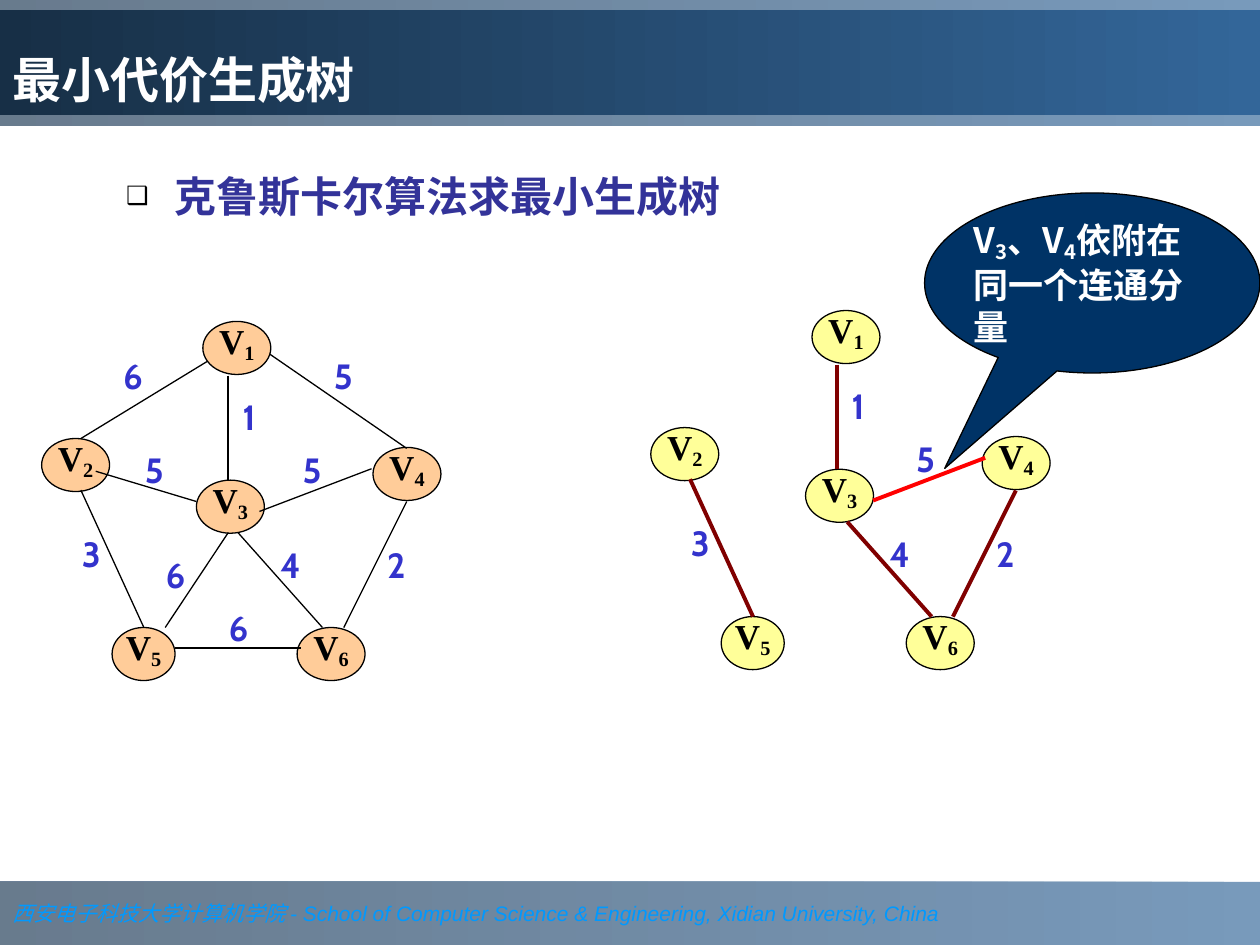
from dataclasses import dataclass

from lxml.etree import SubElement
from pptx import Presentation
from pptx.dml.color import RGBColor
from pptx.enum.shapes import MSO_CONNECTOR as Connector, MSO_SHAPE as Shape
from pptx.enum.text import MSO_ANCHOR as Anchor, MSO_AUTO_SIZE as AutoSize, PP_ALIGN as Align
from pptx.oxml.ns import qn
from pptx.util import Cm, Pt


@dataclass(frozen=True)
class Theme:
    """Colours, fonts and type sizes of the slide."""
    blue: str = "336699"
    band_dark: str = "1B3753"
    title_dark: str = "172F46"
    footer: str = "0099FF"
    heading: str = "333399"
    weight: str = "3333CC"
    graph_node: str = "FFCC99"
    tree_node: str = "FFFF99"
    tree_edge: str = "800000"
    rejected_edge: str = "FF0000"
    callout: str = "003366"
    black: str = "000000"
    white: str = "FFFFFF"
    sans: str = "Cabin"
    serif: str = "Times New Roman"
    latin: str = "Arial"
    chinese: str = "Noto Sans CJK SC"
    title_size: int = 28
    heading_size: int = 24
    label_size: int = 20
    footer_size: int = 12
    thin: float = 0.75
    thick: float = 2.25


VERTICES = {
    "1": (4.09, 6.48, 1.37), "2": (0.84, 8.84, 1.37), "3": (3.96, 9.68, 1.37),
    "4": (7.52, 9.02, 1.37), "5": (2.26, 12.65, 1.27), "6": (5.99, 12.65, 1.37),
}
EDGES = {
    "12": ("6", (4.17, 7.29), (1.63, 8.84), (2.26, 7.14)),
    "14": ("5", (5.44, 7.14), (8.2, 9.04), (6.5, 7.14)),
    "13": ("1", (4.6, 7.57), (4.6, 9.68), (4.6, 7.98)),
    "23": ("5", (3.96, 10.11), (1.93, 9.5), (2.69, 9.04)),
    "34": ("5", (5.23, 10.31), (7.49, 9.45), (5.87, 9.04)),
    "25": ("3", (1.63, 9.88), (2.9, 12.65), (1.42, 10.74)),
    "35": ("6", (4.6, 10.74), (3.33, 12.65), (3.12, 11.15)),
    "36": ("4", (4.8, 10.74), (6.5, 12.65), (5.44, 10.95)),
    "46": ("2", (8.2, 10.11), (6.93, 12.65), (7.57, 10.95)),
    "56": ("6", (3.53, 13.06), (6.07, 13.06), (4.39, 12.22)),
}
TREE_EDGES = ("13", "25", "36", "46")
TREE_SHIFT = (12.28, -0.22)
REJECTED_SHIFT = (12.37, -0.22)


class SlideBuilder:
    """Draws styled elements on one slide."""

    def __init__(self, slide, theme):
        """Keep the slide and its theme."""
        self.slide = slide
        self.theme = theme

    def run(self, paragraph, text, size, font, color, bold=True, italic=False, subscript=False):
        """Add one formatted run."""
        run = paragraph.add_run()
        run.text = text
        run.font.size = Pt(size)
        run.font.bold = bold
        run.font.italic = italic
        run.font.color.rgb = RGBColor.from_string(color)
        run.font.name = font
        properties = run._r.get_or_add_rPr()
        SubElement(properties, qn("a:ea"), typeface=self.theme.chinese)
        if subscript:
            properties.set("baseline", "-16000")

    def frame(self, shape, anchor, align, insets=(0, 0)):
        """Set up a text frame and return its first paragraph."""
        frame = shape.text_frame
        frame.word_wrap = True
        frame.auto_size = AutoSize.NONE
        frame.vertical_anchor = anchor
        frame.margin_left = frame.margin_right = Cm(insets[0])
        frame.margin_top = frame.margin_bottom = Cm(insets[1])
        paragraph = frame.paragraphs[0]
        paragraph.alignment = align
        return paragraph

    def place(self, shape, left, top, width, height):
        """Move and size a placeholder."""
        shape.left, shape.top = Cm(left), Cm(top)
        shape.width, shape.height = Cm(width), Cm(height)

    def gradient(self, shape, dark, opacity=None):
        """Fill a shape from dark at the left to blue at the right."""
        shape.fill.gradient()
        shape.fill.gradient_angle = 180
        for stop, color, position in zip(shape.fill.gradient_stops, (self.theme.blue, dark), (0, 1)):
            stop.color.rgb = RGBColor.from_string(color)
            stop.position = position
        if opacity:
            for color in shape.element.spPr.iter(qn("a:srgbClr")):
                SubElement(color, qn("a:alpha"), val=str(opacity * 1000))

    def band(self, top, height):
        """Draw a translucent full-width band."""
        band = self.slide.shapes.add_shape(Shape.RECTANGLE, 0, Cm(top), Cm(25.4), Cm(height))
        band.shadow.inherit = False
        self.gradient(band, self.theme.band_dark, 66)
        band.line.fill.background()
        return band

    def footer(self, chinese, english):
        """Draw the footer band with its text."""
        theme = self.theme
        paragraph = self.frame(self.band(17.78, 1.27), Anchor.MIDDLE, Align.LEFT, (0.25, 0.13))
        for text, font in ((chinese, theme.serif), (english, theme.latin)):
            self.run(paragraph, text, theme.footer_size, font, theme.footer, False, True)

    def title(self, text):
        """Fill the title placeholder and lay it over the top band."""
        theme = self.theme
        title = self.slide.shapes.title
        self.place(title, 0, 0.21, 25.4, 2.11)
        self.gradient(title, theme.title_dark)
        paragraph = self.frame(title, Anchor.BOTTOM, Align.LEFT, (0.25, 0.13))
        self.run(paragraph, text, theme.title_size, theme.sans, theme.white)
        title.element.getparent().append(title.element)

    def heading(self, text):
        """Fill the body placeholder with one bulleted line."""
        theme = self.theme
        body = self.slide.placeholders[1]
        self.place(body, 2.29, 3.2, 20.02, 2.16)
        paragraph = self.frame(body, Anchor.TOP, Align.LEFT, (0.25, 0.13))
        properties = paragraph._p.get_or_add_pPr()
        properties.set("marL", str(Cm(0.97)))
        properties.set("indent", str(-Cm(0.97)))
        SubElement(SubElement(properties, qn("a:buClr")), qn("a:srgbClr"), val=theme.black)
        SubElement(properties, qn("a:buSzPct"), val="60000")
        SubElement(properties, qn("a:buChar"), char="❑")
        paragraph.line_spacing = 1.1
        paragraph.space_before = Pt(0)
        self.run(paragraph, text, theme.heading_size, theme.chinese, theme.heading)

    def outlined(self, kind, left, top, width, height, fill):
        """Draw a filled shape with a thin black outline."""
        shape = self.slide.shapes.add_shape(kind, Cm(left), Cm(top), Cm(width), Cm(height))
        shape.shadow.inherit = False
        shape.fill.solid()
        shape.fill.fore_color.rgb = RGBColor.from_string(fill)
        shape.line.color.rgb = RGBColor.from_string(self.theme.black)
        shape.line.width = Pt(self.theme.thin)
        return shape

    def vertex(self, number, fill, shift):
        """Draw a vertex with its subscripted name."""
        theme = self.theme
        left, top, width = VERTICES[number]
        oval = self.outlined(Shape.OVAL, left + shift[0], top + shift[1], width, 1.07, fill)
        paragraph = self.frame(oval, Anchor.TOP, Align.CENTER)
        paragraph.line_spacing = 0.72
        for text, subscript in (("V", False), (number, True)):
            self.run(paragraph, text, theme.label_size, theme.serif, theme.black, subscript=subscript)

    def edge(self, name, color, width, shift):
        """Draw an edge and its weight."""
        theme = self.theme
        weight, *points = EDGES[name]
        start, end, corner = [(Cm(x + shift[0]), Cm(y + shift[1])) for x, y in points]
        line = self.slide.shapes.add_connector(Connector.STRAIGHT, *start, *end)
        line.line.color.rgb = RGBColor.from_string(color)
        line.line.width = Pt(width)
        SubElement(line.element.spPr, qn("a:effectLst"))
        box = self.slide.shapes.add_textbox(*corner, Cm(0.84), Cm(0.84))
        paragraph = self.frame(box, Anchor.TOP, Align.CENTER)
        self.run(paragraph, weight, theme.label_size, theme.sans, theme.weight)

    def graph(self, names, fill, color, width, shift=(0, 0)):
        """Draw all vertices and the named edges."""
        for number in VERTICES:
            self.vertex(number, fill, shift)
        for name in names:
            self.edge(name, color, width, shift)

    def callout(self, parts):
        """Draw the speech bubble from text and subscript parts."""
        theme = self.theme
        bubble = self.outlined(Shape.OVAL_CALLOUT, 18.64, 3.89, 6.76, 3.63, theme.callout)
        bubble.adjustments[0], bubble.adjustments[1] = -0.44, 1.03
        paragraph = self.frame(bubble, Anchor.MIDDLE, Align.LEFT)
        for text, subscript in parts:
            self.run(paragraph, text, theme.label_size, theme.chinese, theme.white, subscript=subscript)


def main():
    """Build and save the slide."""
    presentation = Presentation()
    presentation.slide_width, presentation.slide_height = Cm(25.4), Cm(19.05)
    theme = Theme()
    builder = SlideBuilder(presentation.slides.add_slide(presentation.slide_layouts[1]), theme)
    builder.footer("西安电子科技大学计算机学院 ", "- School of Computer Science & Engineering, Xidian University, China")
    builder.band(0, 2.54)
    builder.heading("克鲁斯卡尔算法求最小生成树")
    builder.graph(EDGES, theme.graph_node, theme.black, theme.thin)
    builder.graph(TREE_EDGES, theme.tree_node, theme.tree_edge, theme.thick, TREE_SHIFT)
    builder.edge("34", theme.rejected_edge, theme.thick, REJECTED_SHIFT)
    builder.callout([("V", False), ("3", True), ("、V", False), ("4", True), ("依附在同一个连通分量", False)])
    builder.title("最小代价生成树")
    presentation.save("out.pptx")


if __name__ == "__main__":
    main()
